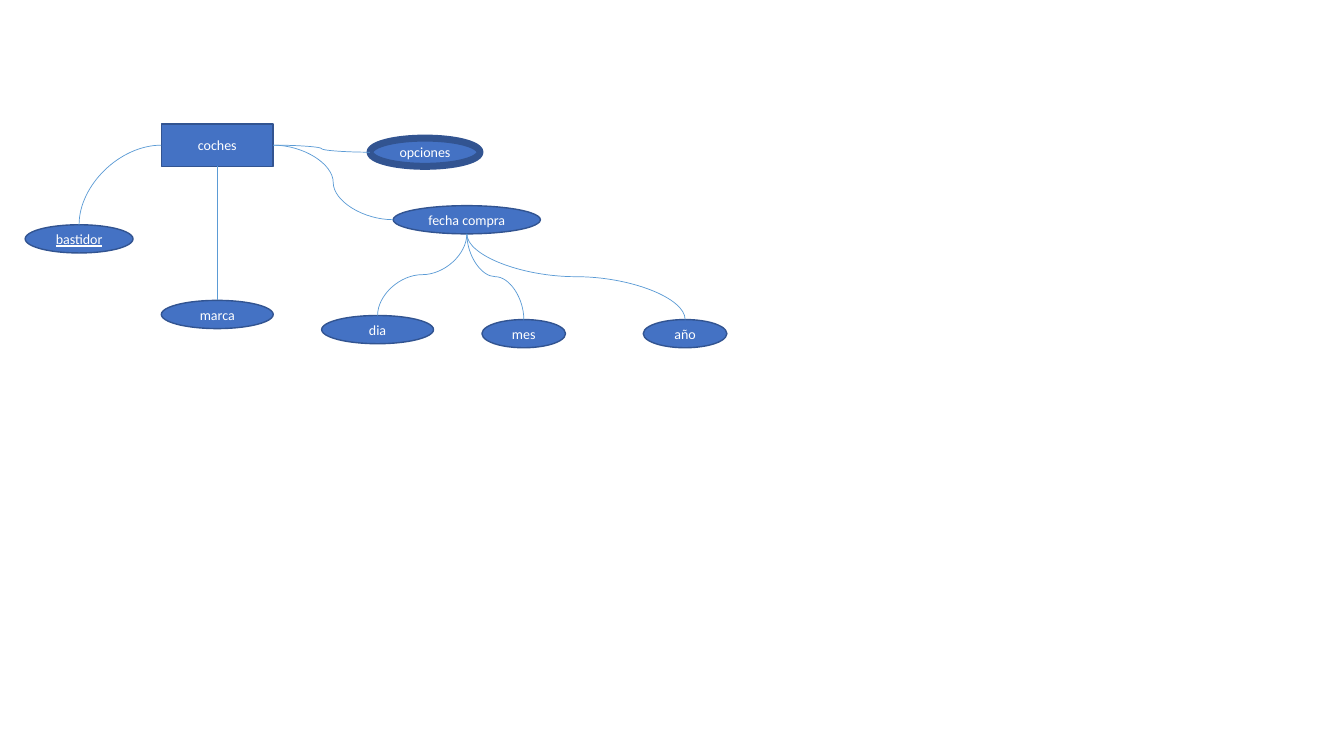
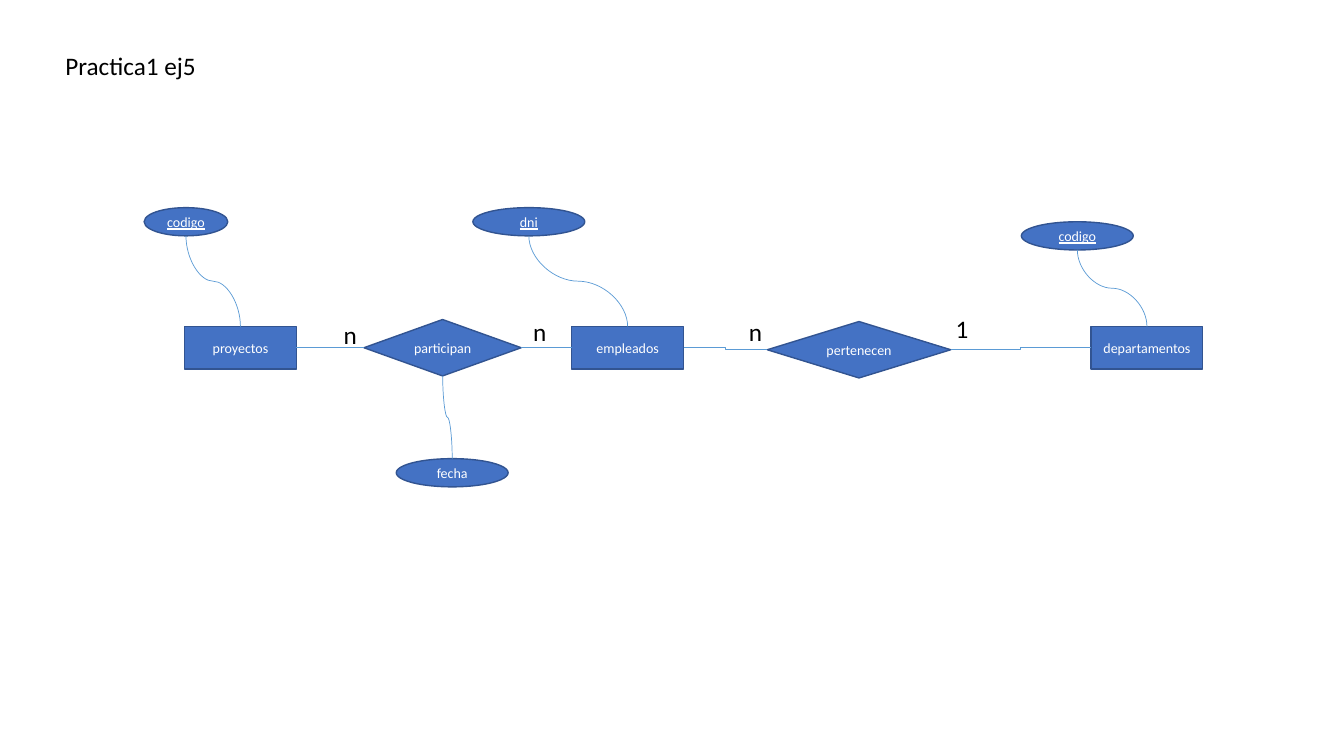
from dataclasses import dataclass
from enum import IntEnum

import lxml.etree
import pptx
import pptx.dml.color
import pptx.enum.shapes
import pptx.enum.text
import pptx.oxml.ns
import pptx.shapes.autoshape
import pptx.shapes.connector
import pptx.slide
import pptx.text.text
import pptx.util

Inches = pptx.util.Inches
Pt = pptx.util.Pt
RGBColor = pptx.dml.color.RGBColor
Shape = pptx.enum.shapes.MSO_SHAPE
Route = pptx.enum.shapes.MSO_CONNECTOR
qn = pptx.oxml.ns.qn

NODE_FILL = RGBColor(0x44, 0x72, 0xC4)
NODE_LINE = RGBColor(0x32, 0x54, 0x91)
LINK_LINE = RGBColor(0x5B, 0x9B, 0xD5)
WHITE = RGBColor(0xFF, 0xFF, 0xFF)
BLACK = RGBColor(0, 0, 0)

NODE_FONT = {"name": "Calibri", "size": Pt(10)}
LABEL_FONT = {"name": "Calibri", "size": Pt(18)}

ENTITY, ATTRIBUTE, RELATION = Shape.RECTANGLE, Shape.OVAL, Shape.DIAMOND
HEIGHTS = {ENTITY: 0.42, ATTRIBUTE: 0.28, RELATION: 0.56}


class Side(IntEnum):
    TOP = 0
    LEFT = 1
    BOTTOM = 2
    RIGHT = 3


@dataclass(frozen=True)
class Node:
    kind: Shape
    text: str
    x: float
    y: float
    w: float = 1.11
    key: bool = False
    border: float = 1

    @property
    def h(self) -> float:
        return HEIGHTS[self.kind]

    def middle(self, side: Side) -> tuple[float, float]:
        """Middle of one side, in inches."""
        fx, fy = {Side.TOP: (0.5, 0), Side.LEFT: (0, 0.5),
                  Side.BOTTOM: (0.5, 1), Side.RIGHT: (1, 0.5)}[side]
        return self.x + fx * self.w, self.y + fy * self.h

    def site(self, side: Side) -> int:
        """Connection site number; an oval also has sites on its diagonals."""
        return side * 2 if self.kind == ATTRIBUTE else int(side)


@dataclass(frozen=True)
class Link:
    start: Node
    end: Node
    start_side: Side = Side.BOTTOM
    end_side: Side = Side.TOP
    route: Route = Route.CURVE


@dataclass(frozen=True)
class Label:
    text: str
    x: float
    y: float
    w: float = 0.34


def write(tf: pptx.text.text.TextFrame, text: str, color: RGBColor, font: dict) -> None:
    tf.word_wrap = False
    r = tf.paragraphs[0].add_run()
    r.text = text
    for name, value in font.items():
        setattr(r.font, name, value)
    r.font.color.rgb = color


def draw_node(s: pptx.slide.Slide, node: Node) -> pptx.shapes.autoshape.Shape:
    sp = s.shapes.add_shape(node.kind, *map(Inches, (node.x, node.y, node.w, node.h)))
    sp.shadow.inherit = False
    sp.fill.solid()
    sp.fill.fore_color.rgb = NODE_FILL
    sp.line.color.rgb = NODE_LINE
    sp.line.width = Pt(node.border)
    tf = sp.text_frame
    tf.vertical_anchor = pptx.enum.text.MSO_ANCHOR.MIDDLE
    tf.paragraphs[0].alignment = pptx.enum.text.PP_ALIGN.CENTER
    write(tf, node.text, WHITE, NODE_FONT | ({"underline": True} if node.key else {}))
    return sp


def place_connector(s: pptx.slide.Slide, link: Link) -> pptx.shapes.connector.Connector:
    """A link that leaves downwards is a sideways one turned by a quarter."""
    x1, y1 = link.start.middle(link.start_side)
    x2, y2 = link.end.middle(link.end_side)
    if link.start_side != Side.BOTTOM:
        return s.shapes.add_connector(link.route, *map(Inches, (x1, y1, x2, y2)))
    turn = 1 if x2 > x1 else -1
    cx, cy = (x1 + x2) / 2, (y1 + y2) / 2
    dx, dy = turn * (y2 - y1) / 2, abs(x2 - x1) / 2
    connector = s.shapes.add_connector(
        link.route, *map(Inches, (cx + dx, cy - dy, cx - dx, cy + dy)))
    connector.rotation = 180 + 90 * turn
    return connector


def draw_link(s: pptx.slide.Slide, link: Link, ids: dict[Node, int]) -> None:
    connector = place_connector(s, link)
    connector.line.color.rgb = LINK_LINE
    connector.line.width = Pt(0.5)
    element = connector._element
    if link.start_side == Side.LEFT and link.end_side == Side.TOP:
        element.spPr.find(qn("a:prstGeom")).set("prst", "curvedConnector2")
    lxml.etree.SubElement(element.spPr, qn("a:effectLst"))
    joints = element.find(".//" + qn("p:cNvCxnSpPr"))
    for tag, node, side in (("a:stCxn", link.start, link.start_side),
                            ("a:endCxn", link.end, link.end_side)):
        lxml.etree.SubElement(joints, qn(tag), id=str(ids[node]), idx=str(node.site(side)))


def draw_label(s: pptx.slide.Slide, label: Label) -> None:
    sp = s.shapes.add_textbox(*map(Inches, (label.x, label.y, label.w, 0.4)))
    write(sp.text_frame, label.text, BLACK, LABEL_FONT)
    sp.text_frame.auto_size = pptx.enum.text.MSO_AUTO_SIZE.SHAPE_TO_FIT_TEXT


def draw_diagram(prs: pptx.presentation.Presentation, nodes: list[Node],
                 links: list[Link], labels: list[Label]) -> None:
    s = prs.slides.add_slide(prs.slide_layouts[6])
    ids = {node: draw_node(s, node).shape_id for node in nodes}
    for link in links:
        draw_link(s, link, ids)
    for label in labels:
        draw_label(s, label)


def draw_cars(prs: pptx.presentation.Presentation) -> None:
    coches = Node(ENTITY, "coches", 1.6, 1.23)
    bastidor = Node(ATTRIBUTE, "bastidor", 0.25, 2.23, 1.07, key=True)
    marca = Node(ATTRIBUTE, "marca", 1.6, 2.98)
    opciones = Node(ATTRIBUTE, "opciones", 3.67, 1.37, 1.09, border=5)
    fecha = Node(ATTRIBUTE, "fecha compra", 3.9, 2.04, 1.46)
    date_parts = [Node(ATTRIBUTE, "dia", 3.19, 3.13),
                  Node(ATTRIBUTE, "mes", 4.78, 3.17, 0.83),
                  Node(ATTRIBUTE, "año", 6.38, 3.17, 0.83)]
    links = [Link(coches, bastidor, Side.LEFT), Link(coches, marca)]
    links += [Link(coches, node, Side.RIGHT, Side.LEFT) for node in (opciones, fecha)]
    links += [Link(fecha, part) for part in date_parts]
    draw_diagram(prs, [coches, bastidor, marca, opciones, fecha, *date_parts], links, [])


def draw_projects(prs: pptx.presentation.Presentation) -> None:
    proyectos, empleados, departamentos = entities = [
        Node(ENTITY, text, x, 3.24)
        for text, x in (("proyectos", 1.83), ("empleados", 5.67), ("departamentos", 10.82))]
    keys = [Node(ATTRIBUTE, "codigo", 1.43, 2.06, 0.83, key=True),
            Node(ATTRIBUTE, "dni", 4.69, 2.06, key=True),
            Node(ATTRIBUTE, "codigo", 10.13, 2.2, key=True)]
    participan = Node(RELATION, "participan", 3.61, 3.17, 1.56)
    pertenecen = Node(RELATION, "pertenecen", 7.61, 3.19, 1.82)
    fecha = Node(ATTRIBUTE, "fecha", 3.93, 4.55)
    chain = [proyectos, participan, empleados, pertenecen, departamentos]
    links = [Link(key, entity) for key, entity in zip(keys, entities)]
    links += [Link(a, b, Side.RIGHT, Side.LEFT, Route.ELBOW)
              for a, b in zip(chain, chain[1:])]
    links.append(Link(participan, fecha))
    labels = [Label("Practica1 ej5", 0.55, 0.45, 1.51), Label("n", 3.31, 3.12),
              Label("n", 5.19, 3.09), Label("n", 7.33, 3.09), Label("1", 9.38, 3.06, 0.33)]
    draw_diagram(prs, [*chain, *keys, fecha], links, labels)


def main() -> None:
    prs = pptx.Presentation()
    prs.slide_width, prs.slide_height = Inches(13.33), Inches(7.5)
    draw_cars(prs)
    draw_projects(prs)
    prs.save("out.pptx")


if __name__ == "__main__":
    main()
